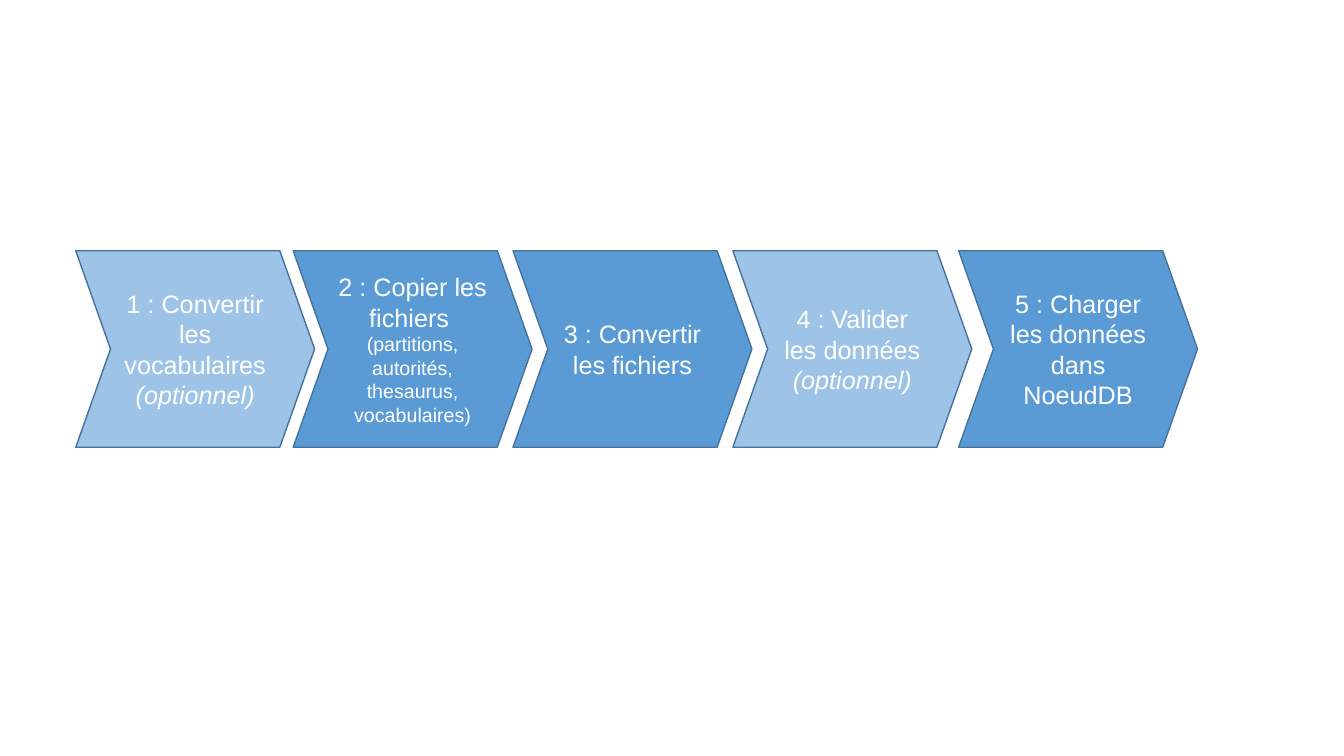
from dataclasses import dataclass

from pptx import Presentation
from pptx.dml.color import RGBColor
from pptx.enum.shapes import MSO_SHAPE
from pptx.enum.text import MSO_ANCHOR, PP_ALIGN
from pptx.slide import Slide
from pptx.text.text import _Paragraph
from pptx.util import Cm, Pt

CHEVRON = MSO_SHAPE.CHEVRON
MIDDLE = MSO_ANCHOR.MIDDLE
CENTER = PP_ALIGN.CENTER

COLORS = {
    "required": "5B9BD5",
    "optional": "9DC3E6",
    "outline": "43739E",
    "text": "FFFFFF",
}
FONT = "Arial"
BLANK_LAYOUT = 6
STEP_TOP = 6.32
STEP_WIDTH = 6.02
STEP_HEIGHT = 4.95
POINT_DEPTH = 0.177


@dataclass(frozen=True)
class Span:
    text: str
    size: int = 18
    italic: bool = False


@dataclass(frozen=True)
class Step:
    left: float
    color: str
    paragraphs: tuple[tuple[Span, ...], ...]


OPTIONAL_NOTE = Span("(optionnel)", italic=True)

STEPS = (
    Step(1.91, "optional", ((Span("1 : Convertir les vocabulaires "), OPTIONAL_NOTE),)),
    Step(7.39, "required", (
        (Span("2 : Copier les fichiers "),),
        (Span("(partitions, autorités, thesaurus, vocabulaires)", size=14),),
    )),
    Step(12.93, "required", ((Span("3 : Convertir les fichiers"),),)),
    Step(18.47, "optional", ((Span("4 : Valider les données"),), (OPTIONAL_NOTE,))),
    Step(24.16, "required", ((Span("5 : Charger les données dans NoeudDB"),),)),
)


def color(name: str) -> RGBColor:
    return RGBColor.from_string(COLORS[name])


def write_paragraph(paragraph: _Paragraph, spans: tuple[Span, ...]) -> None:
    paragraph.alignment = CENTER
    for span in spans:
        run = paragraph.add_run()
        run.text = span.text
        run.font.name = FONT
        run.font.size = Pt(span.size)
        run.font.italic = span.italic
        run.font.color.rgb = color("text")


def draw_step(slide: Slide, step: Step) -> None:
    shape = slide.shapes.add_shape(
        CHEVRON, Cm(step.left), Cm(STEP_TOP), Cm(STEP_WIDTH), Cm(STEP_HEIGHT)
    )
    shape.adjustments[0] = POINT_DEPTH
    shape.shadow.inherit = False
    shape.fill.solid()
    shape.fill.fore_color.rgb = color(step.color)
    shape.line.color.rgb = color("outline")
    shape.line.width = Pt(1)

    text_frame = shape.text_frame
    text_frame.word_wrap = True
    text_frame.vertical_anchor = MIDDLE
    for index, spans in enumerate(step.paragraphs):
        paragraph = text_frame.add_paragraph() if index else text_frame.paragraphs[0]
        write_paragraph(paragraph, spans)


def main() -> None:
    presentation = Presentation()
    presentation.slide_width = Cm(33.87)
    presentation.slide_height = Cm(19.05)
    slide = presentation.slides.add_slide(presentation.slide_layouts[BLANK_LAYOUT])
    for step in STEPS:
        draw_step(slide, step)
    presentation.save("out.pptx")


if __name__ == "__main__":
    main()
